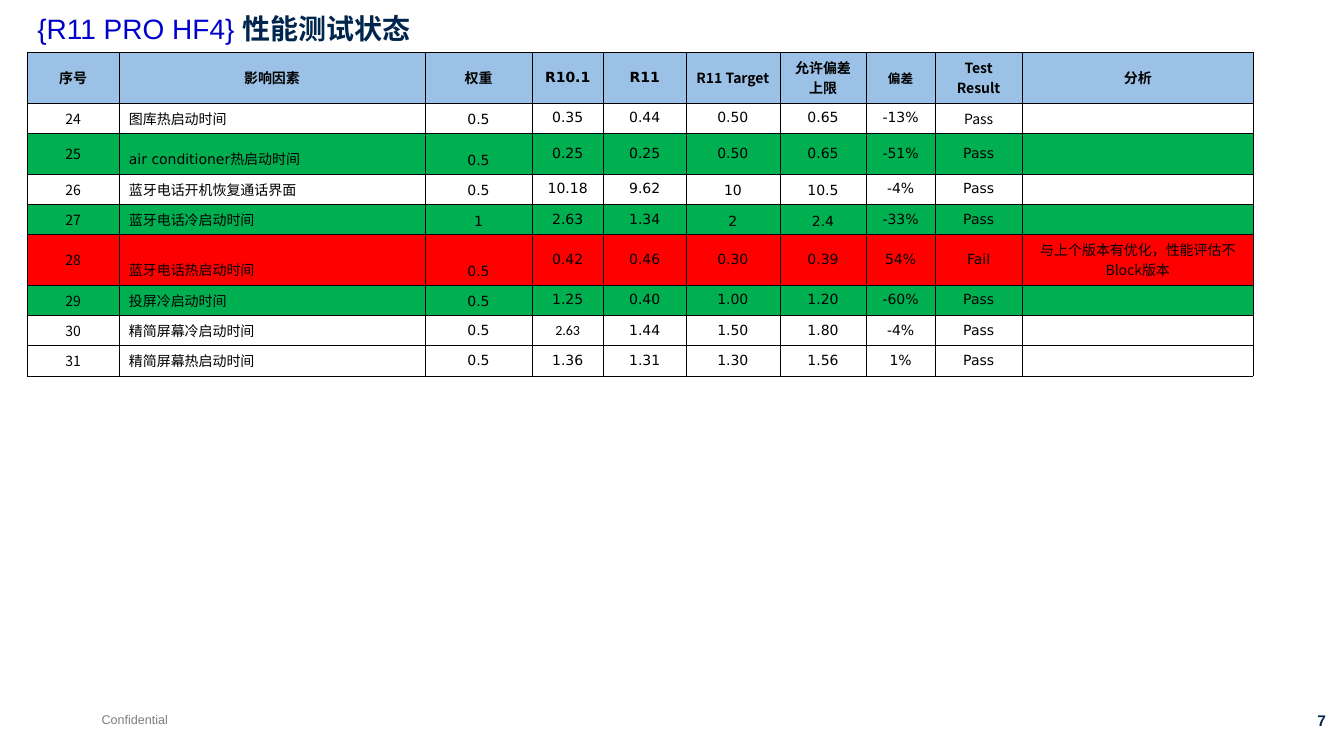
from lxml import etree
from pptx import Presentation
from pptx.dml.color import RGBColor
from pptx.enum.text import MSO_ANCHOR, PP_ALIGN
from pptx.oxml.ns import qn
from pptx.util import Inches, Pt

LEFT, CENTER, RIGHT = PP_ALIGN.LEFT, PP_ALIGN.CENTER, PP_ALIGN.RIGHT
TOP, MIDDLE, BOTTOM = MSO_ANCHOR.TOP, MSO_ANCHOR.MIDDLE, MSO_ANCHOR.BOTTOM
ARIAL, CALIBRI, DEJAVU, NOTO = "Arial", "Calibri", "DejaVu Sans", "Noto Sans CJK SC"

COLORS = {
    "black": "000000", "blue": "0000CC", "navy": "00264E", "gray": "7F7F7F",
    "header": "9BC2E6", "plain": "FFFFFF", "improved": "00B050", "failed": "FF0000",
}

TITLE_VERSION, TITLE_TOPIC = "{R11 PRO HF4} ", "性能测试状态"
FOOTER, PAGE_NUMBER = "Confidential", "7"

HEADERS = ["序号", "影响因素", "权重", "R10.1", "R11", "R11 Target",
           "允许偏差上限", "偏差", "Test Result", "分析"]
RESULTS = [
    ("plain", ["24", "图库热启动时间", "0.5", "0.35", "0.44", "0.50", "0.65", "-13%", "Pass", ""]),
    ("improved", ["25", "air conditioner热启动时间", "0.5", "0.25", "0.25", "0.50", "0.65", "-51%", "Pass", ""]),
    ("plain", ["26", "蓝牙电话开机恢复通话界面", "0.5", "10.18", "9.62", "10", "10.5", "-4%", "Pass", ""]),
    ("improved", ["27", "蓝牙电话冷启动时间", "1", "2.63", "1.34", "2", "2.4", "-33%", "Pass", ""]),
    ("failed", ["28", "蓝牙电话热启动时间", "0.5", "0.42", "0.46", "0.30", "0.39", "54%", "Fail",
                "与上个版本有优化，性能评估不Block版本"]),
    ("improved", ["29", "投屏冷启动时间", "0.5", "1.25", "0.40", "1.00", "1.20", "-60%", "Pass", ""]),
    ("plain", ["30", "精简屏幕冷启动时间", "0.5", "2.63", "1.44", "1.50", "1.80", "-4%", "Pass", ""]),
    ("plain", ["31", "精简屏幕热启动时间", "0.5", "1.36", "1.31", "1.30", "1.56", "1%", "Pass", ""]),
]
COLUMN_WIDTHS = [0.91, 3.04, 1.06, 0.71, 0.82, 0.93, 0.86, 0.68, 0.87, 2.29]
ROW_HEIGHTS = [0.4, 0.23, 0.26, 0.21, 0.21, 0.33, 0.24, 0.21, 0.21]

NUMBER, FACTOR, WEIGHT, OLD, NEW, TARGET, LIMIT, DEVIATION, RESULT, ANALYSIS = range(10)
FONT_EXCEPTIONS = {(1, RESULT): NOTO, (7, OLD): CALIBRI}
TALL_EMPTY_CELL = (2, ANALYSIS)


def add_text(paragraph, text, size=10, font=DEJAVU, color="black", bold=False, align=LEFT):
    paragraph.alignment = align
    run = paragraph.add_run()
    run.text = text
    run.font.size = Pt(size)
    run.font.name = font
    run.font.bold = bold
    run.font.color.rgb = RGBColor.from_string(COLORS[color])
    east_asian = etree.SubElement(run.font._element, qn("a:ea"))
    east_asian.set("typeface", NOTO)


def add_label(slide, text, left, top, width, height, **text_format):
    box = slide.shapes.add_textbox(Inches(left), Inches(top), Inches(width), Inches(height))
    box.text_frame.word_wrap = False
    add_text(box.text_frame.paragraphs[0], text, **text_format)


def set_borders(cell):
    properties = cell._tc.get_or_add_tcPr()
    for position, side in enumerate(("a:lnL", "a:lnR", "a:lnT", "a:lnB")):
        line = etree.Element(qn(side), w=str(Pt(0.23)))
        fill = etree.SubElement(line, qn("a:solidFill"))
        etree.SubElement(fill, qn("a:srgbClr"), val=COLORS["black"])
        properties.insert(position, line)


def cell_anchor(row, column):
    bottom = (column in (FACTOR, WEIGHT) and 1 <= row <= 6
              or column in (TARGET, LIMIT) and row in (3, 4))
    return BOTTOM if bottom else MIDDLE


def cell_font(row, column):
    if row == 0:
        return DEJAVU if column in (OLD, NEW) else NOTO
    default = NOTO if column in (NUMBER, ANALYSIS) else DEJAVU
    return FONT_EXCEPTIONS.get((row, column), default)


def fill_cell(cell, text, row, column, color):
    cell.fill.solid()
    cell.fill.fore_color.rgb = RGBColor.from_string(COLORS[color])
    cell.vertical_anchor = cell_anchor(row, column)
    set_borders(cell)
    paragraph = cell.text_frame.paragraphs[0]
    if text:
        add_text(paragraph, text, size=9 if (row, column) == (0, DEVIATION) else 10,
                 font=cell_font(row, column), bold=row == 0,
                 align=LEFT if row and column == FACTOR else CENTER)
    else:
        size = 18 if (row, column) == TALL_EMPTY_CELL else 10
        etree.SubElement(paragraph._p, qn("a:endParaRPr"), sz=str(size * 100))


def add_results_table(slide):
    rows = [("header", HEADERS)] + RESULTS
    frame = slide.shapes.add_table(len(rows), len(HEADERS), Inches(0.27), Inches(0.52),
                                   Inches(sum(COLUMN_WIDTHS)), Inches(sum(ROW_HEIGHTS)))
    table = frame.table
    table.first_row = table.horz_banding = False
    for column, width in zip(table.columns, COLUMN_WIDTHS):
        column.width = Inches(width)
    for row, height in zip(table.rows, ROW_HEIGHTS):
        row.height = Inches(height)
    for row, (color, texts) in enumerate(rows):
        for column, text in enumerate(texts):
            fill_cell(table.cell(row, column), text, row, column, color)


def main():
    presentation = Presentation()
    presentation.slide_width, presentation.slide_height = Inches(13.34), Inches(7.5)
    slide = presentation.slides.add_slide(presentation.slide_layouts[5])

    title = slide.shapes.title
    title.left, title.top = Inches(0.27), Inches(0.1)
    title.width, title.height = Inches(11.85), Inches(0.63)
    title.text_frame.vertical_anchor = TOP
    heading = title.text_frame.paragraphs[0]
    heading.line_spacing = 0.9
    add_text(heading, TITLE_VERSION, size=20, font=ARIAL, color="blue")
    add_text(heading, TITLE_TOPIC, size=20, font=ARIAL, color="navy", bold=True)

    add_results_table(slide)
    add_label(slide, FOOTER, 0.91, 7.01, 0.86, 0.25, size=9, font=ARIAL, color="gray")
    add_label(slide, PAGE_NUMBER, 12.32, 7.01, 0.94, 0.29, size=11, font=ARIAL,
              color="navy", bold=True, align=RIGHT)
    presentation.save("out.pptx")


if __name__ == "__main__":
    main()
